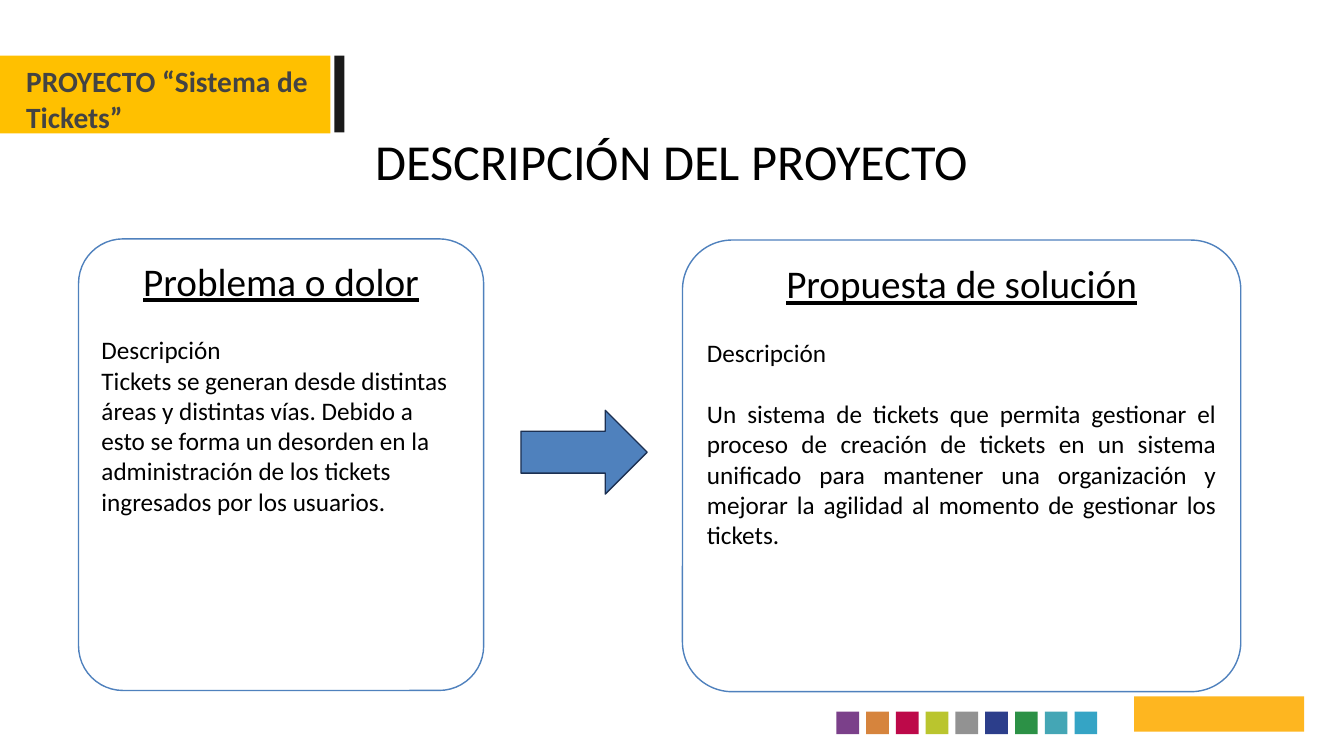
from pptx import Presentation, util as u
from pptx.dml.color import RGBColor
from pptx.enum import shapes, text

BLACK = RGBColor(0, 0, 0)
WHITE = RGBColor(255, 255, 255)
GREY = RGBColor(0x43, 0x43, 0x43)
DARK = RGBColor(0x1A, 0x1A, 0x1A)
GOLD = RGBColor(0xFF, 0xC0, 0x00)
AMBER = RGBColor(0xFE, 0xB6, 0x20)
BLUE = RGBColor(0x4F, 0x81, 0xBD)
NAVY = RGBColor(0x1C, 0x30, 0x52)
STRIP = [RGBColor.from_string(c) for c in (
    "7B408A", "D6843D", "BD0949", "BAC52E", "929292",
    "2C3E8B", "2C9146", "44A6B5", "35A4C5")]

LEFT, MID, JUST = text.PP_ALIGN.LEFT, text.PP_ALIGN.CENTER, text.PP_ALIGN.JUSTIFY
KIND = shapes.MSO_SHAPE
FONT = "Calibri"
GAP = 22  # one 18 pt line, in points

HEAD = {"size": u.Pt(28), "underline": True}
BODY = {"size": u.Pt(18)}

# Lines of text: wording, alignment, space before, font format
TITLE = [("DESCRIPCIÓN DEL PROYECTO", MID, 0, {"size": u.Pt(36)})]
TAG = [("PROYECTO “Sistema de Tickets”", LEFT, 0, {"size": u.Pt(21), "bold": True})]
PAIN = [
    ("Problema o dolor", MID, 0, HEAD),
    ("Descripción", JUST, GAP, BODY),
    ("Tickets se generan desde distintas áreas y distintas vías. Debido a esto "
     "se forma un desorden en la administración de los tickets ingresados por "
     "los usuarios.", LEFT, 0, BODY),
]
PLAN = [
    ("Propuesta de solución", MID, 0, HEAD),
    ("Descripción", JUST, GAP, BODY),
    ("Un sistema de tickets que permita gestionar el proceso de creación de "
     "tickets en un sistema unificado para mantener una organización y mejorar "
     "la agilidad al momento de gestionar los tickets.", JUST, GAP, BODY),
]

# Cards: left, top, width, height in cm, then text
CARDS = [
    ((1.98, 6.02, 10.21, 11.38), PAIN),
    ((17.2, 6.05, 14.07, 11.38), PLAN),
]
SIDE, STEP, START, ROW = 0.57, 0.75, 21.08, 17.93


def cms(box):
    return [u.Cm(v) for v in box]


def write(shape, lines, color=BLACK, inset=None):
    frame = shape.text_frame
    frame.word_wrap = True
    frame.vertical_anchor = text.MSO_ANCHOR.TOP
    if inset is not None:
        for side in ("left", "top", "right", "bottom"):
            setattr(frame, "margin_" + side, u.Cm(inset))
    for i, (words, align, gap, style) in enumerate(lines):
        par = frame.add_paragraph() if i else frame.paragraphs[0]
        par.alignment = align
        par.space_before = u.Pt(gap)
        run = par.add_run()
        run.text = words
        run.font.color.rgb = color
        for key, value in {"name": FONT, **style}.items():
            setattr(run.font, key, value)


def draw(slide, kind, box, fill, line=None):
    shape = slide.shapes.add_shape(kind, *cms(box))
    shape.shadow.inherit = False
    shape.fill.solid()
    shape.fill.fore_color.rgb = fill
    if line is None:
        shape.line.fill.background()
    else:
        shape.line.color.rgb = line
        shape.line.width = u.Pt(1)
    return shape


def main():
    deck = Presentation()
    deck.slide_width, deck.slide_height = cms((33.87, 19.05))
    slide = deck.slides.add_slide(deck.slide_layouts[6])

    draw(slide, KIND.RECTANGLE, (0, 1.4, 8.33, 1.96), GOLD)
    draw(slide, KIND.RECTANGLE, (8.43, 1.4, 0.25, 1.94), DARK)
    draw(slide, KIND.RECTANGLE, (28.58, 17.55, 4.29, 0.89), AMBER)
    for i, color in enumerate(STRIP):
        draw(slide, KIND.RECTANGLE, (START + i * STEP, ROW, SIDE, SIDE), color)

    title = slide.shapes.add_textbox(*cms((0, 3.15, 33.87, 1.8)))
    write(title, TITLE)
    for box, lines in CARDS:
        card = draw(slide, KIND.ROUNDED_RECTANGLE, box, WHITE, BLUE)
        card.adjustments[0] = 0.11
        write(card, lines)
    draw(slide, KIND.RIGHT_ARROW, (13.13, 10.34, 3.18, 2.11), BLUE, NAVY)
    tag = slide.shapes.add_textbox(*cms((0.66, 1.6, 7.32, 1.8)))
    write(tag, TAG, GREY, 0)

    deck.save("out.pptx")


if __name__ == "__main__":
    main()
